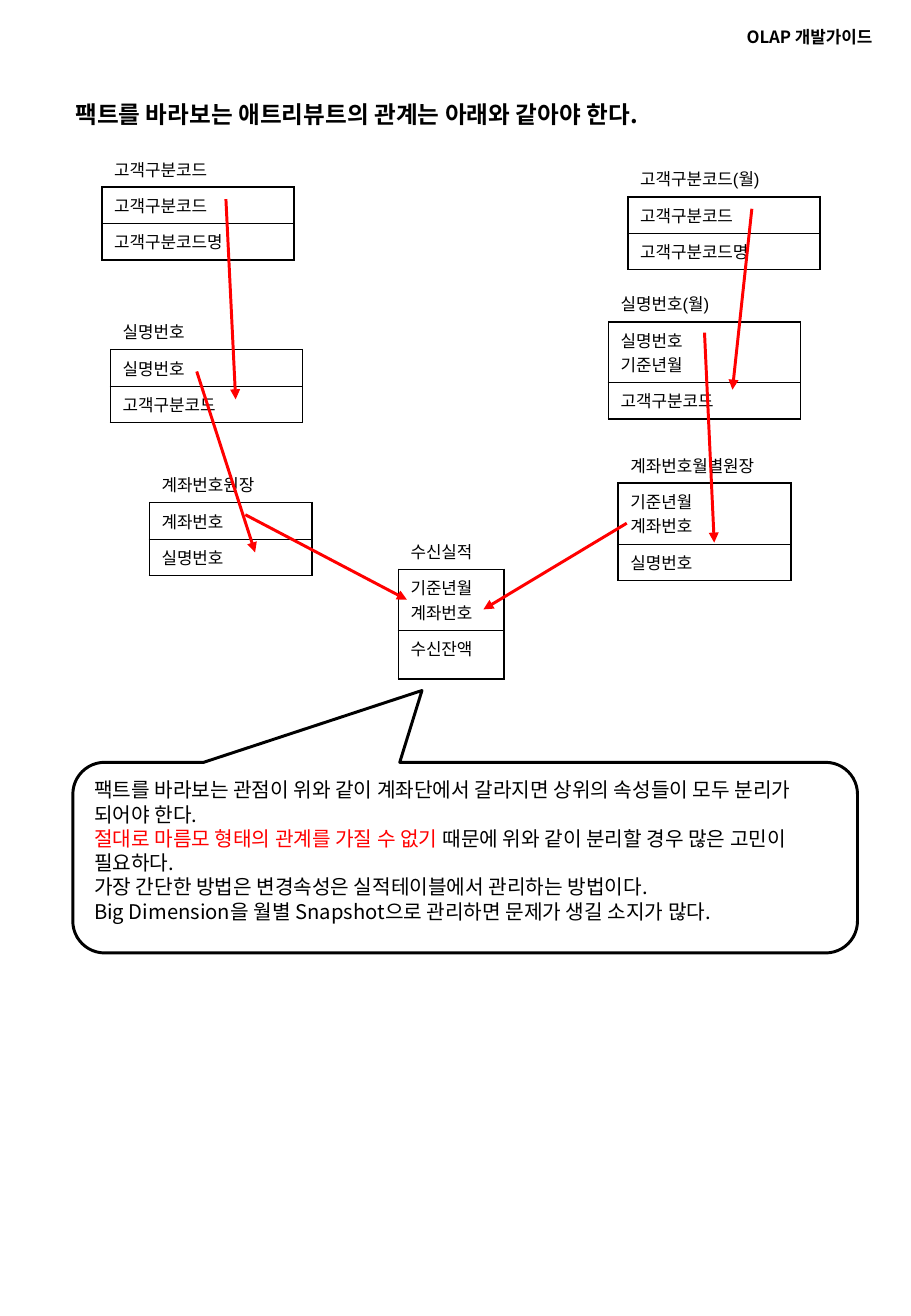
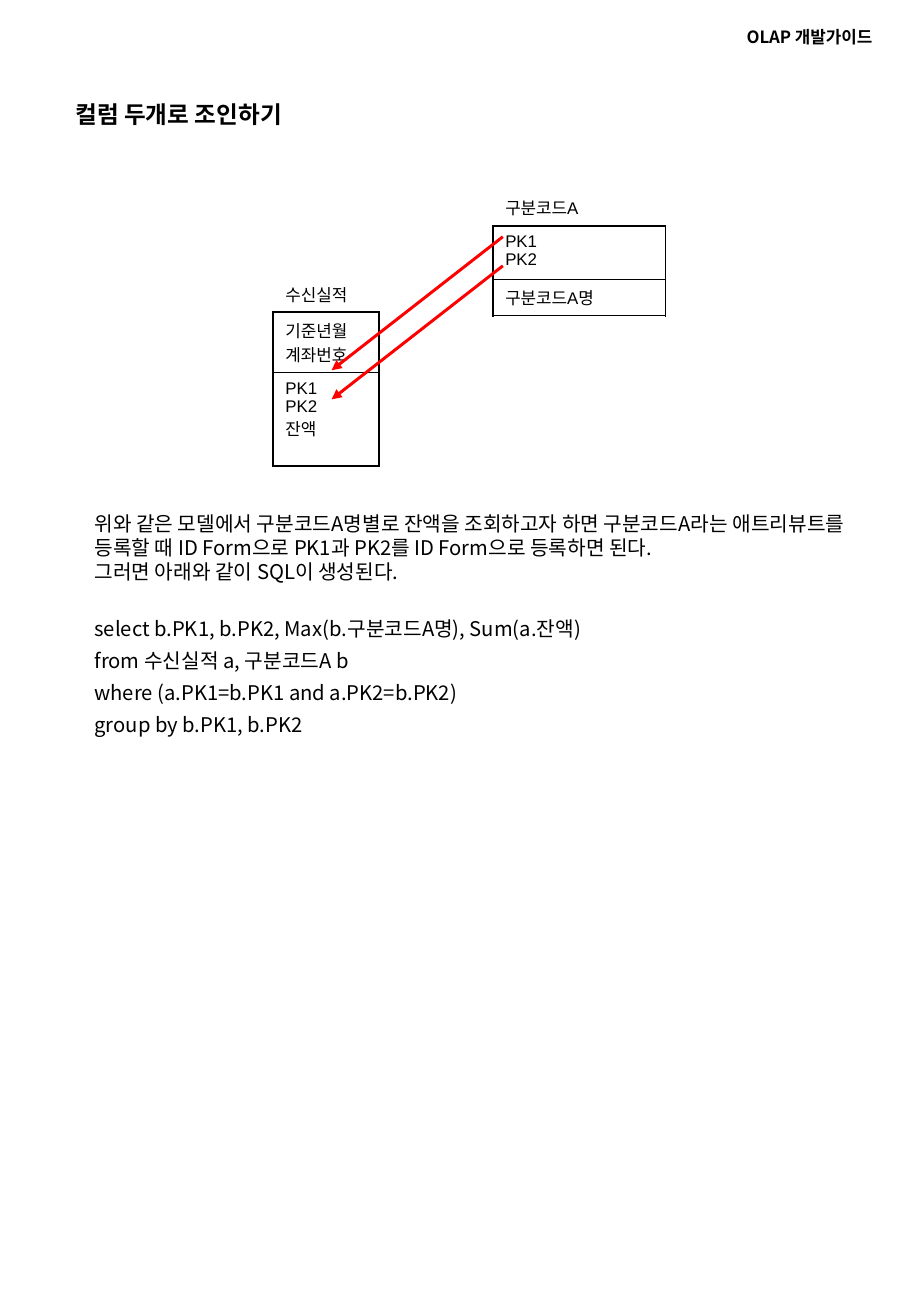
"""Builds two guide pages on modelling attributes and joins for OLAP."""
import pptx
import pptx.util
import pptx.dml.color
import pptx.enum.shapes
import pptx.enum.text
import pptx.oxml
import pptx.oxml.ns

COLORS = {"ink": "000000", "paper": "FFFFFF", "alert": "FF0000"}
SANS, KOREAN = "Arial", "Noto Sans CJK KR"
UNIT = pptx.util.Inches(0.1)
COLS, ROWS = 75, 108.4
LEFT, RIGHT = pptx.enum.text.PP_ALIGN.LEFT, pptx.enum.text.PP_ALIGN.RIGHT
NS = pptx.oxml.ns.nsdecls("a")


def grid(*steps):
    """Turn grid steps into lengths."""
    return [round(step * UNIT) for step in steps]


def write(frame, lines, size=12, font=KOREAN, bold=False, align=LEFT, wrap=True):
    """Fill a text frame; a line is a string or a list of (text, colour) pairs."""
    frame.word_wrap = wrap
    frame.vertical_anchor = pptx.enum.text.MSO_ANCHOR.TOP
    for i, line in enumerate(lines):
        para = frame.add_paragraph() if i else frame.paragraphs[0]
        para.alignment = align
        for text, tone in [(line, "ink")] if isinstance(line, str) else line:
            run = para.add_run()
            run.text = text
            run.font.size = pptx.util.Pt(size)
            run.font.name = font
            run.font.bold = bold
            run.font.color.rgb = pptx.dml.color.RGBColor.from_string(COLORS[tone])
            run.font._element.append(pptx.oxml.parse_xml(f'<a:ea {NS} typeface="{KOREAN}"/>'))


pages = [
    {
        "title": "팩트를 바라보는 애트리뷰트의 관계는 아래와 같아야 한다.",
        "tables": [
            (32.8, 43.9, 8.7, (2.7, 4.4, 4), "수신실적", ["기준년월", "계좌번호"], ["수신잔액"]),
            (50.9, 36.8, 14.2, (2.7, 4.4, 2.7), "계좌번호월별원장", ["기준년월", "계좌번호"], ["실명번호"]),
            (12.3, 38.4, 13.4, (2.7, 2.7, 2.7), "계좌번호원장", ["계좌번호"], ["실명번호"]),
            (9.1, 25.8, 15.8, (2.7, 2.8, 2.7), "실명번호", ["실명번호"], ["고객구분코드"]),
            (50.1, 23.5, 15.8, (2.7, 4.4, 2.7), "실명번호(월)", ["실명번호", "기준년월"], ["고객구분코드"]),
            (8.4, 12.4, 15.8, (2.7, 2.8, 2.7), "고객구분코드", ["고객구분코드"], ["고객구분코드명"]),
            (51.7, 13.2, 15.8, (2.7, 2.8, 2.7), "고객구분코드(월)", ["고객구분코드"], ["고객구분코드명"]),
        ],
        "arrows": [
            (58, 27.4, 58.8, 44.7), (51.6, 43.1, 39.8, 50.2), (16.2, 30.6, 21, 45.5),
            (20.2, 42.4, 33.5, 49.4), (61.9, 17.2, 60.3, 32.1), (18.6, 16.4, 19.4, 32.9),
        ],
    },
    {
        "title": "컬럼 두개로 조인하기",
        "tables": [
            (22.5, 22.7, 8.7, (2.7, 4.4, 7.7), "수신실적", ["기준년월", "계좌번호"], ["PK1", "PK2", "잔액"]),
            (40.6, 15.6, 14.2, (2.7, 4.4, 2.7), "구분코드A", ["PK1", "PK2"], ["구분코드A명"]),
        ],
        "arrows": [(41.4, 19.5, 27.3, 30.5), (41.4, 21.9, 27.3, 32.9)],
    },
]

EDGES = [
    {"L": ("paper", 0.45), "R": ("paper", 0.45), "T": ("paper", 0.45), "B": ("ink", 1.08)},
    {"L": ("ink", 1.08), "R": ("ink", 1.08), "T": ("ink", 1.08), "B": ("ink", 0.45)},
    {"L": ("ink", 1.08), "R": ("ink", 1.08), "T": ("ink", 0.45), "B": ("ink", 1.08)},
]

deck = pptx.Presentation()
deck.slide_width, deck.slide_height = grid(COLS, ROWS)
layout = deck.slide_layouts[5]
slides = []

for page in pages:
    slide = deck.slides.add_slide(layout)
    slides.append(slide)
    title = slide.shapes.title
    title.left, title.top, title.width, title.height = grid(5.2, 7.7, 66.3, 3.4)
    write(title.text_frame, [page["title"]], size=14, bold=True)

    for left, top, width, heights, name, keys, fields in page["tables"]:
        table = slide.shapes.add_table(3, 1, *grid(left, top, width, sum(heights))).table
        table.first_row = table.horz_banding = False
        for i, lines in enumerate(([name], keys, fields)):
            table.rows[i].height = grid(heights[i])[0]
            cell = table.cell(i, 0)
            write(cell.text_frame, lines, size=10, font=SANS)
            cell.fill.background()
            props = cell._tc.get_or_add_tcPr()
            for n, (side, (tone, weight)) in enumerate(EDGES[i].items()):
                props.insert(n, pptx.oxml.parse_xml(
                    f'<a:ln{side} {NS} w="{pptx.util.Pt(weight)}"><a:solidFill>'
                    f'<a:srgbClr val="{COLORS[tone]}"/></a:solidFill></a:ln{side}>'))

    for ends in page["arrows"]:
        arrow = slide.shapes.add_connector(pptx.enum.shapes.MSO_CONNECTOR.STRAIGHT, *grid(*ends))
        arrow.line.width = pptx.util.Pt(1.75)
        arrow.line.color.rgb = pptx.dml.color.RGBColor.from_string(COLORS["alert"])
        arrow.line._get_or_add_ln().append(pptx.oxml.parse_xml(f'<a:tailEnd {NS} type="triangle"/>'))
        arrow._element.spPr.append(pptx.oxml.parse_xml(f"<a:effectLst {NS}/>"))

model, join = slides

head = model.shapes.add_textbox(*grid(60.1, 2, 12.7, 2.4))
write(head.text_frame, ["OLAP 개발가이드"], size=10, bold=True, align=RIGHT, wrap=False)
head.text_frame.paragraphs[0].line_spacing = 0.8
head.text_frame.paragraphs[0].space_before = pptx.util.Pt(6.2)
layout.shapes.element.append(head.element)

note = model.shapes.add_shape(
    pptx.enum.shapes.MSO_SHAPE.ROUNDED_RECTANGULAR_CALLOUT, *grid(6, 62.8, 64.6, 15.7))
for i, share in enumerate((-0.055, -0.877, 0.167)):
    note.adjustments[i] = share
note.shadow.inherit = False
note.fill.solid()
note.fill.fore_color.rgb = pptx.dml.color.RGBColor.from_string(COLORS["paper"])
note.line.color.rgb = pptx.dml.color.RGBColor.from_string(COLORS["ink"])
note.line.width = pptx.util.Pt(1.75)
write(note.text_frame, [
    "팩트를 바라보는 관점이 위와 같이 계좌단에서 갈라지면 상위의 속성들이 모두 분리가 되어야 한다.",
    [("절대로 마름모 형태의 관계를 가질 수 없기", "alert"),
     (" 때문에 위와 같이 분리할 경우 많은 고민이 필요하다.", "ink")],
    "가장 간단한 방법은 변경속성은 실적테이블에서 관리하는 방법이다.",
    "Big Dimension을 월별 Snapshot으로 관리하면 문제가 생길 소지가 많다.",
])

body = join.shapes.add_textbox(*grid(6.8, 41.6, 66.3, 19.6))
write(body.text_frame, [
    "위와 같은 모델에서 구분코드A명별로 잔액을 조회하고자 하면 구분코드A라는 애트리뷰트를 "
    "등록할 때 ID Form으로 PK1과 PK2를 ID Form으로 등록하면 된다.",
    "그러면 아래와 같이 SQL이 생성된다.",
    "select b.PK1, b.PK2, Max(b.구분코드A명), Sum(a.잔액)",
    "from 수신실적 a, 구분코드A b",
    "where (a.PK1=b.PK1 and a.PK2=b.PK2)",
    "group by b.PK1, b.PK2",
])
for i, para in enumerate(body.text_frame.paragraphs[2:]):
    para.line_spacing = 0.8
    para.space_before = pptx.util.Pt(7.5 if i else 22)

deck.save("out.pptx")
